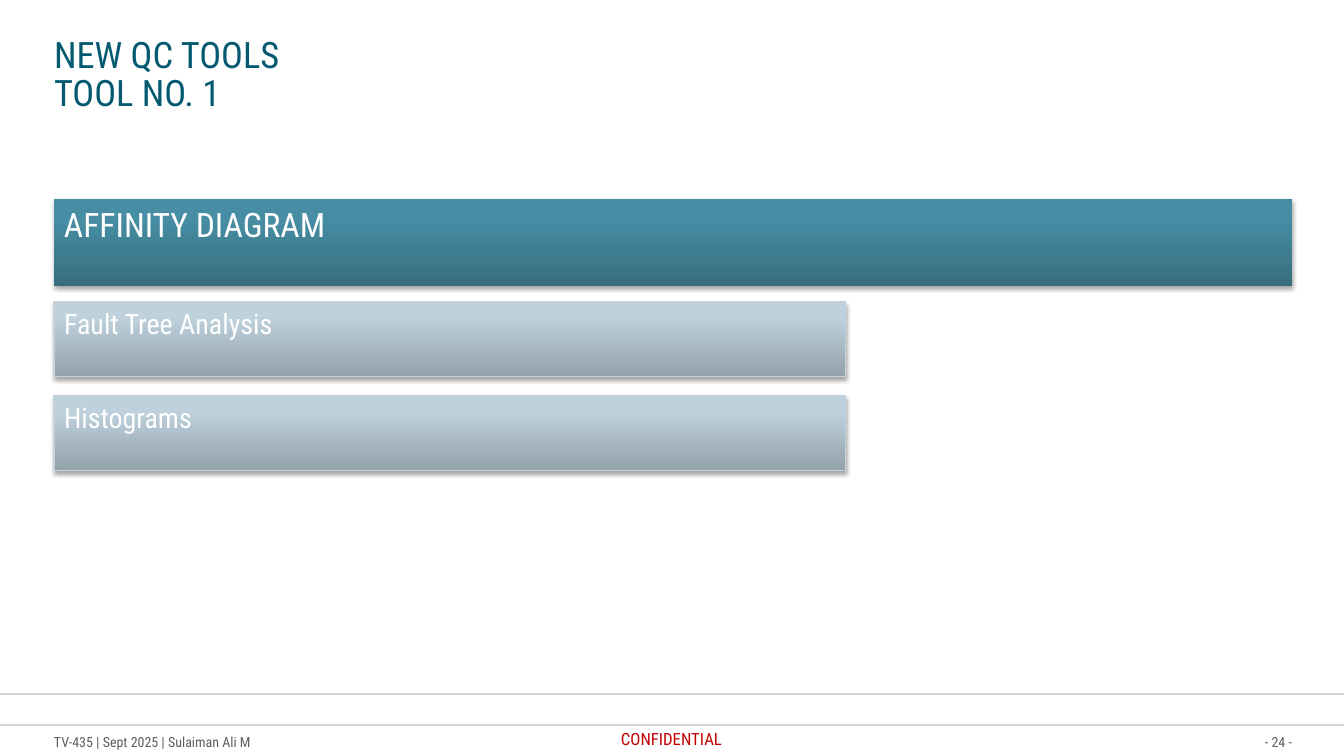
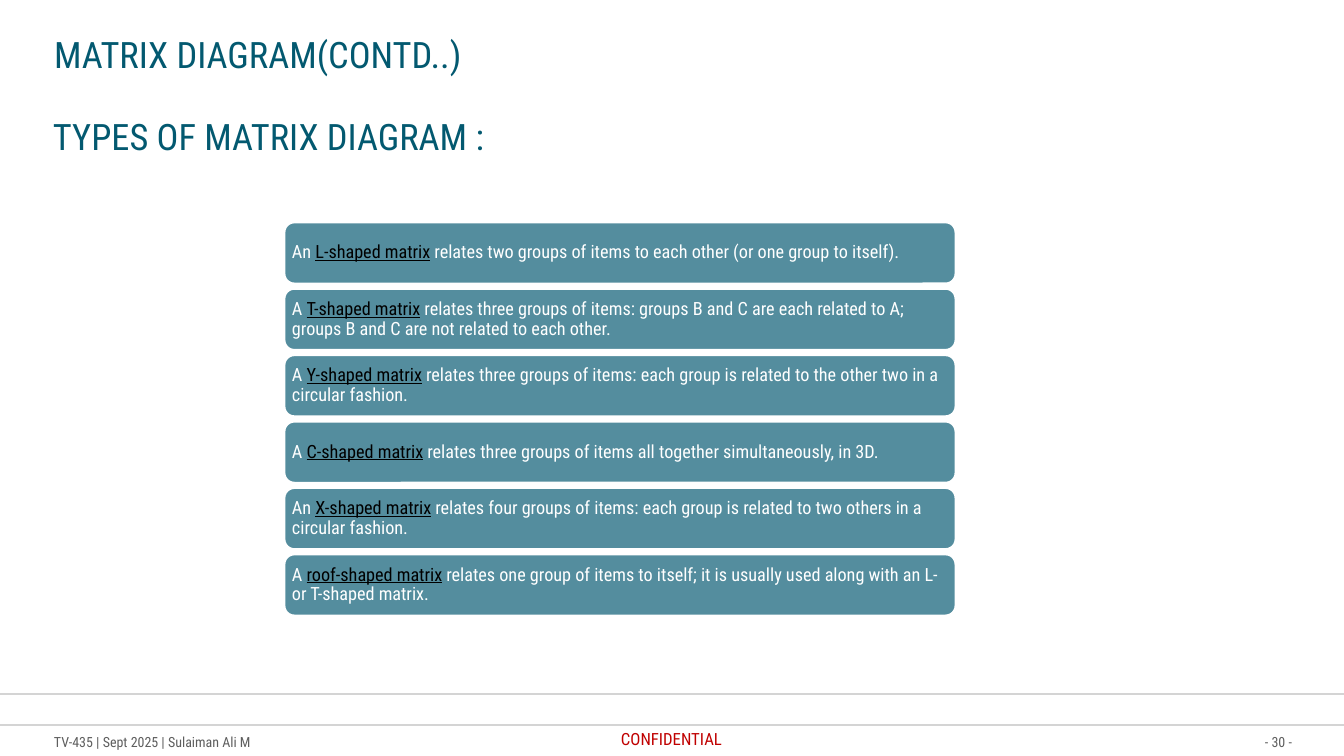
import copy
from dataclasses import dataclass

import pptx
import pptx.dml.color
import pptx.enum.shapes
import pptx.enum.text
import pptx.oxml.ns
import pptx.util
from lxml import etree

EMU_PER_PX = 914400 / 100.8
ANCHOR = pptx.enum.text.MSO_ANCHOR
ALIGN = pptx.enum.text.PP_ALIGN
SHAPES = pptx.enum.shapes.MSO_SHAPE
qn = pptx.oxml.ns.qn


@dataclass(frozen=True)
class Theme:
    font: str = "Roboto Condensed"
    heading: str = "035970"
    confidential: str = "C00000"
    footer: str = "5E5E5E"
    light: str = "FFFFFF"
    dark: str = "000000"
    card: str = "548D9E"
    bar_border: str = "C3D2DC"
    main_gradient: tuple = ("366E7E", "478EA4", "4590A6")
    sub_gradient: tuple = ("93A1AA", "BED1DD", "BFD2DE")
    heading_size: int = 26
    heading_leading: int = 27
    main_size: int = 24
    sub_size: int = 20
    card_size: int = 13
    confidential_size: int = 12
    footer_size: int = 10


THEME = Theme()
SLIDE_WIDTH, SLIDE_HEIGHT = 1344, 756
MARGIN, CONTENT_WIDTH = 54, 1238

MATRIX_TYPES = [
    ("An ", "L-shaped matrix",
     " relates two groups of items to each other (or one group to itself)."),
    ("A ", "T-shaped matrix",
     " relates three groups of items: groups B and C are each related to A; "
     "groups B and C are not related to each other."),
    ("A ", "Y-shaped matrix",
     " relates three groups of items: each group is related to the other two "
     "in a circular fashion."),
    ("A ", "C-shaped matrix",
     " relates three groups of items all together simultaneously, in 3D."),
    ("An ", "X-shaped matrix",
     " relates four groups of items: each group is related to two others "
     "in a circular fashion."),
    ("A ", "roof-shaped matrix",
     " relates one group of items to itself; it is usually used along with "
     "an L- or T-shaped matrix."),
]


def px(length):
    return pptx.util.Emu(round(length * EMU_PER_PX))


def rgb(color):
    return pptx.dml.color.RGBColor.from_string(color)


def format_run(run, size, color):
    run.font.name = THEME.font
    run.font.size = pptx.util.Pt(size)
    run.font.color.rgb = rgb(color)


def set_frame(frame, anchor, inset_x=0, inset_y=0):
    frame.word_wrap = True
    frame.auto_size = pptx.enum.text.MSO_AUTO_SIZE.NONE
    frame.vertical_anchor = anchor
    frame.margin_left = frame.margin_right = px(inset_x)
    frame.margin_top = frame.margin_bottom = px(inset_y)


def write(frame, text, size, color, align=ALIGN.LEFT):
    frame.text = text
    paragraph = frame.paragraphs[0]
    paragraph.alignment = align
    for run in paragraph.runs:
        format_run(run, size, color)


def add_label(slide, box, text, size, color, anchor=ANCHOR.TOP, align=ALIGN.LEFT):
    label = slide.shapes.add_textbox(*map(px, box))
    set_frame(label.text_frame, anchor)
    write(label.text_frame, text, size, color, align)
    return label


def style_heading(frame, text):
    set_frame(frame, ANCHOR.TOP)
    write(frame, text, THEME.heading_size, THEME.heading)
    frame.paragraphs[0].line_spacing = pptx.util.Pt(THEME.heading_leading)


def add_rule(slide, y):
    """Draw a translucent line across the whole slide."""
    rule = slide.shapes.add_connector(
        pptx.enum.shapes.MSO_CONNECTOR.STRAIGHT, 0, px(y), px(SLIDE_WIDTH), px(y))
    rule.line.width = pptx.util.Pt(1)
    rule.line.color.rgb = rgb(THEME.dark)
    properties = rule._element.spPr
    color = next(properties.iter(qn("a:srgbClr")))
    etree.SubElement(color, qn("a:alpha"), val="25000")
    etree.SubElement(properties, qn("a:effectLst"))


def add_footer(slide, page):
    add_rule(slide, 725)
    add_label(slide, (621, 729, 105, 20), "CONFIDENTIAL",
              THEME.confidential_size, THEME.confidential)
    add_label(slide, (MARGIN, 733, 300, 17), "TV-435 | Sept 2025 | Sulaiman Ali M",
              THEME.footer_size, THEME.footer, ANCHOR.MIDDLE)
    add_label(slide, (MARGIN + CONTENT_WIDTH - 100, 733, 100, 17), f"- {page} -",
              THEME.footer_size, THEME.footer, ANCHOR.MIDDLE, ALIGN.RIGHT)
    add_rule(slide, 694)


def add_titled_slide(presentation, title, page):
    slide = presentation.slides.add_slide(presentation.slide_layouts[5])
    add_footer(slide, page)
    shape = slide.shapes.title
    shape.left, shape.top = px(MARGIN), px(38)
    shape.width, shape.height = px(CONTENT_WIDTH), px(78)
    style_heading(shape.text_frame, title)
    return slide


def fill_gradient(shape, colors):
    """Fill upwards from the first colour, with stops at 0, 80 and 100 %."""
    shape.fill.gradient()
    shape.fill.gradient_angle = 90
    stop_list = next(shape._element.spPr.iter(qn("a:gsLst")))
    stop_list.append(copy.deepcopy(stop_list[0]))
    for stop, position, color in zip(shape.fill.gradient_stops, (0, 0.8, 1), colors):
        stop.position = position
        stop.color.rgb = rgb(color)


def add_shadow(shape):
    shape.shadow.inherit = False
    effects = shape._element.spPr.find(qn("a:effectLst"))
    shadow = etree.SubElement(
        effects, qn("a:outerShdw"), blurRad=str(pptx.util.Pt(3.1)),
        dist=str(pptx.util.Pt(1.8)), dir="5400000", rotWithShape="0")
    color = etree.SubElement(shadow, qn("a:srgbClr"), val=THEME.dark)
    etree.SubElement(color, qn("a:alpha"), val="35000")


def add_bar(slide, box, text, size, gradient, border=None):
    bar = slide.shapes.add_shape(SHAPES.RECTANGLE, *map(px, box))
    fill_gradient(bar, gradient)
    if border:
        bar.line.color.rgb = rgb(border)
        bar.line.width = pptx.util.Pt(0.75)
    else:
        bar.line.fill.background()
    add_shadow(bar)
    set_frame(bar.text_frame, ANCHOR.TOP, 10, 5)
    write(bar.text_frame, text, size, THEME.light)


def add_tool_bars(slide, box, main_tool, other_tools):
    left, top, width, height = box
    add_bar(slide, (left, top, width, height), main_tool,
            THEME.main_size, THEME.main_gradient)
    for index, tool in enumerate(other_tools):
        add_bar(slide, (left, top + 103 + 94 * index, 792, 75), tool,
                THEME.sub_size, THEME.sub_gradient, THEME.bar_border)


def add_card(slide, box, parts):
    """Draw a rounded card whose second text part is underlined."""
    card = slide.shapes.add_shape(SHAPES.ROUNDED_RECTANGLE, *map(px, box))
    card.shadow.inherit = False
    card.fill.solid()
    card.fill.fore_color.rgb = rgb(THEME.card)
    card.line.color.rgb = rgb(THEME.light)
    card.line.width = pptx.util.Pt(2)
    set_frame(card.text_frame, ANCHOR.MIDDLE, 5, 5)
    paragraph = card.text_frame.paragraphs[0]
    paragraph.alignment = ALIGN.LEFT
    paragraph.line_spacing = 0.9
    for text, is_term in zip(parts, (False, True, False)):
        run = paragraph.add_run()
        run.text = text
        format_run(run, THEME.card_size, THEME.dark if is_term else THEME.light)
        run.font.underline = is_term


def add_card_stack(slide, box, cards, card_height=62):
    left, top, width, height = box
    pitch = (height - card_height) / (len(cards) - 1)
    for index, parts in enumerate(cards):
        add_card(slide, (left, top + index * pitch, width, card_height), parts)


def build_tool_slide(presentation):
    slide = add_titled_slide(presentation, "NEW QC TOOLS\vTOOL NO. 1", 24)
    add_tool_bars(slide, (MARGIN, 199, CONTENT_WIDTH, 87), "AFFINITY DIAGRAM",
                  ["Fault Tree Analysis", "Histograms"])


def build_matrix_slide(presentation):
    slide = add_titled_slide(presentation, "MATRIX DIAGRAM(CONTD..)", 30)
    slide.shapes.title.height = px(48)
    add_card_stack(slide, (284, 222, 672, 394), MATRIX_TYPES)
    subtitle = slide.shapes.add_textbox(*map(px, (53, 120, 456, 48)))
    style_heading(subtitle.text_frame, "TYPES OF MATRIX DIAGRAM :")


def main():
    presentation = pptx.Presentation()
    presentation.slide_width = px(SLIDE_WIDTH)
    presentation.slide_height = px(SLIDE_HEIGHT)
    build_tool_slide(presentation)
    build_matrix_slide(presentation)
    presentation.save("out.pptx")


if __name__ == "__main__":
    main()
